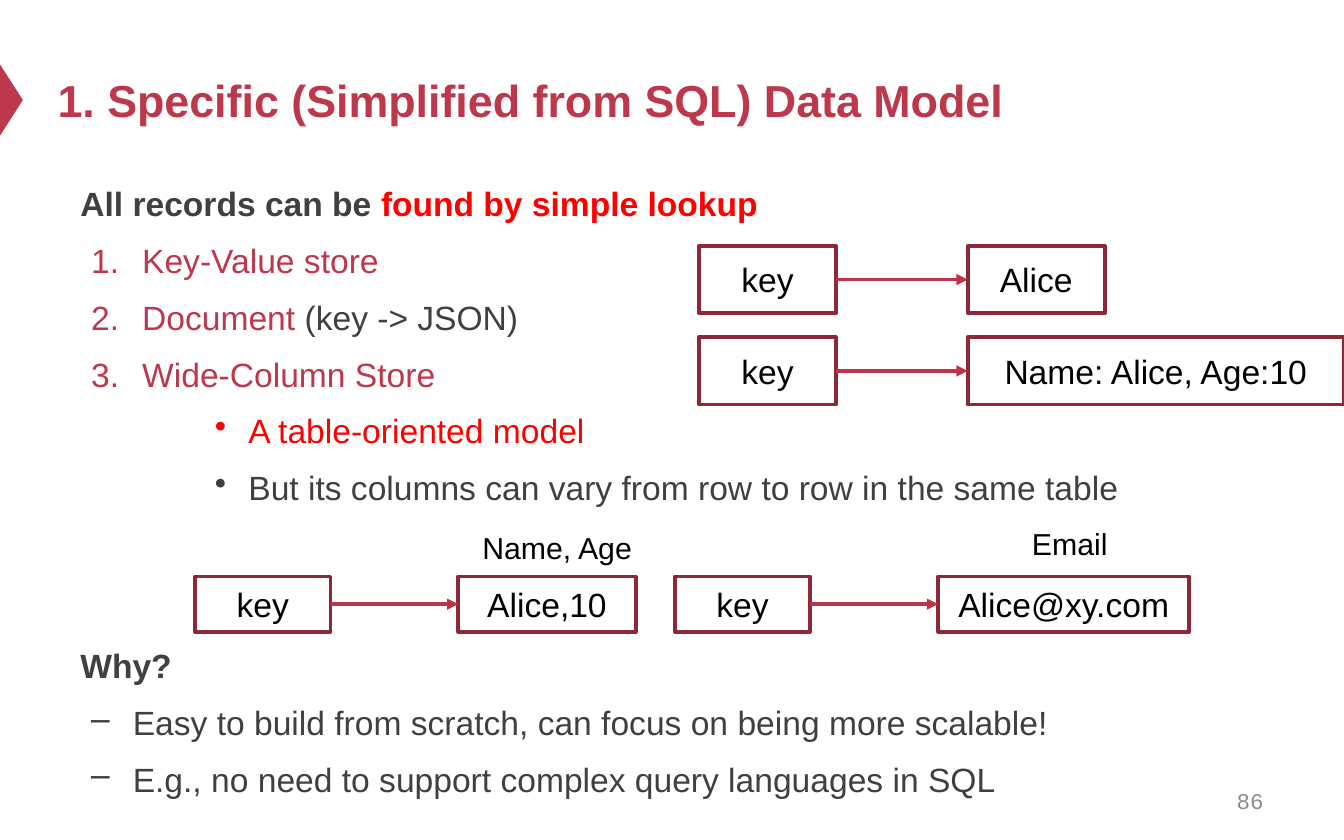
from dataclasses import dataclass

from lxml import etree
from pptx import Presentation
from pptx.dml.color import RGBColor
from pptx.enum.shapes import MSO_CONNECTOR, MSO_SHAPE
from pptx.enum.text import MSO_ANCHOR, PP_ALIGN
from pptx.oxml.ns import qn
from pptx.util import Inches, Pt

STRAIGHT = MSO_CONNECTOR.STRAIGHT
RECTANGLE, TRIANGLE = MSO_SHAPE.RECTANGLE, MSO_SHAPE.ISOSCELES_TRIANGLE
TOP, MIDDLE = MSO_ANCHOR.TOP, MSO_ANCHOR.MIDDLE
LEFT, CENTER, RIGHT = PP_ALIGN.LEFT, PP_ALIGN.CENTER, PP_ALIGN.RIGHT
LEFT_SIDE, RIGHT_SIDE = 1, 3


@dataclass(frozen=True)
class Theme:
    font: str = "Arial"
    number_font: str = "Courier New"
    accent: str = "BE384B"
    border: str = "8D2937"
    arrow: str = "BD3347"
    text: str = "404040"
    alert: str = "FF0000"
    black: str = "000000"
    grey: str = "8C8C8C"
    title_size: float = 24
    body_size: float = 18
    label_size: float = 16.2
    number_size: float = 12
    line_width: float = 2


THEME = Theme()

# List style: left margin, hanging indent, bullet element, bullet attributes
LISTS = {
    "number": (0.46, -0.38, "a:buAutoNum", {"type": "arabicPeriod"}),
    "bullet": (1.25, -0.25, "a:buChar", {"char": "•"}),
    "dash": (0.39, -0.31, "a:buChar", {"char": "–"}),
}


class SlideBuilder:
    def __init__(self, slide, theme):
        self.slide = slide
        self.theme = theme

    def add_span(self, para, text, **changes):
        """Add a span in the body style, apart from the given changes."""
        values = {"name": self.theme.font, "size": self.theme.body_size,
                  "bold": False, "color": self.theme.text} | changes
        values["size"] = Pt(values["size"])
        color = values.pop("color")
        span = para.add_run()
        span.text = text
        for name, value in values.items():
            setattr(span.font, name, value)
        span.font.color.rgb = RGBColor.from_string(color)

    def text_box(self, area, anchor=TOP, wrap=True):
        box = self.slide.shapes.add_textbox(*map(Inches, area))
        box.text_frame.word_wrap = wrap
        box.text_frame.vertical_anchor = anchor
        return box.text_frame

    def line_of_text(self, area, text, align=LEFT, anchor=TOP, wrap=True, **changes):
        para = self.text_box(area, anchor, wrap).paragraphs[0]
        para.alignment = align
        self.add_span(para, text, **changes)

    def body(self, area, items):
        """Items are pairs of a list style (or None) and spans."""
        frame = self.text_box(area)
        for index, (style, spans) in enumerate(items):
            para = frame.add_paragraph() if index else frame.paragraphs[0]
            if style:
                margin, indent, tag, attributes = LISTS[style]
                properties = para._p.get_or_add_pPr()
                properties.set("marL", str(Inches(margin)))
                properties.set("indent", str(Inches(indent)))
                etree.SubElement(properties, qn(tag), attributes)
            para.line_spacing = 1.2
            para.space_before = Pt(4.6 if index else 0)
            for text, changes in spans:
                self.add_span(para, text, **changes)

    def marker(self, area):
        shape = self.slide.shapes.add_shape(TRIANGLE, *map(Inches, area))
        shape.rotation = 90
        shape.shadow.inherit = False
        shape.fill.solid()
        shape.fill.fore_color.rgb = RGBColor.from_string(self.theme.accent)
        shape.line.fill.background()

    def box(self, area, text):
        shape = self.slide.shapes.add_shape(RECTANGLE, *map(Inches, area))
        shape.shadow.inherit = False
        shape.fill.background()
        shape.line.color.rgb = RGBColor.from_string(self.theme.border)
        shape.line.width = Pt(self.theme.line_width)
        shape.text_frame.word_wrap = True
        shape.text_frame.vertical_anchor = MIDDLE
        para = shape.text_frame.paragraphs[0]
        para.alignment = CENTER
        self.add_span(para, text, color=self.theme.black)
        return shape

    def arrow(self, start, end):
        connector = self.slide.shapes.add_connector(STRAIGHT, 0, 0, 0, 0)
        connector.begin_connect(start, RIGHT_SIDE)
        connector.end_connect(end, LEFT_SIDE)
        connector.line.color.rgb = RGBColor.from_string(self.theme.arrow)
        connector.line.width = Pt(self.theme.line_width)
        properties = connector._element.spPr
        etree.SubElement(properties.find(qn("a:ln")), qn("a:tailEnd"),
                         {"type": "triangle"})
        etree.SubElement(properties, qn("a:effectLst"))

    def lookup(self, left, top, height, key_width, value_left, value_width, value):
        key_box = self.box((left, top, key_width, height), "key")
        value_box = self.box((value_left, top, value_width, height), value)
        self.arrow(key_box, value_box)


def main():
    deck = Presentation()
    deck.slide_width, deck.slide_height = Inches(10), Inches(6.25)
    builder = SlideBuilder(deck.slides.add_slide(deck.slide_layouts[6]), THEME)
    accent, alert = {"color": THEME.accent}, {"color": THEME.alert}
    strong = {"bold": True}

    # Title with its marker
    builder.marker((-0.18, 0.66, 0.53, 0.17))
    builder.line_of_text((0.33, 0.25, 9, 0.98),
                         "1. Specific (Simplified from SQL) Data Model",
                         anchor=MIDDLE, size=THEME.title_size, **strong, **accent)

    # Kinds of store
    builder.body((0.5, 1.25, 9, 2.6), [
        (None, [("All records can be ", strong),
                ("found by simple lookup", strong | alert)]),
        ("number", [("Key-Value store", accent)]),
        ("number", [("Document", accent), (" (key -> JSON)", {})]),
        ("number", [("Wide-Column Store", accent)]),
        ("bullet", [("A table-oriented model", alert)]),
        ("bullet", [("But its columns can vary from row to row in the same table", {})]),
    ])

    # Reasons
    builder.body((0.5, 4.69, 9, 1.35), [
        (None, [("Why?", strong)]),
        ("dash", [("Easy to build from scratch, can focus on being more scalable!", {})]),
        ("dash", [("E.g., no need to support complex query languages in SQL", {})]),
    ])

    # Key-value and document lookups
    for top, width, value in [(1.83, 1.02, "Alice"),
                              (2.51, 2.8, "Name: Alice, Age:10")]:
        builder.lookup(5.2, top, 0.5, 1.02, 7.2, width, value)

    # Wide-column lookups
    for left, width, value in [(1.45, 1.32, "Alice,10"),
                               (5.02, 1.87, "Alice@xy.com")]:
        builder.lookup(left, 4.29, 0.41, 1.01, left + 1.96, width, value)

    # Column names
    for area, name in [((3.49, 3.89, 1.33, 0.37), "Name, Age"),
                       ((7.58, 3.86, 0.76, 0.31), "Email")]:
        builder.line_of_text(area, name, wrap=False,
                             size=THEME.label_size, color=THEME.black)

    # Page number
    builder.line_of_text((7.17, 5.79, 2.33, 0.33), "86", RIGHT, MIDDLE,
                         name=THEME.number_font, size=THEME.number_size,
                         color=THEME.grey)

    deck.save("out.pptx")


if __name__ == "__main__":
    main()
